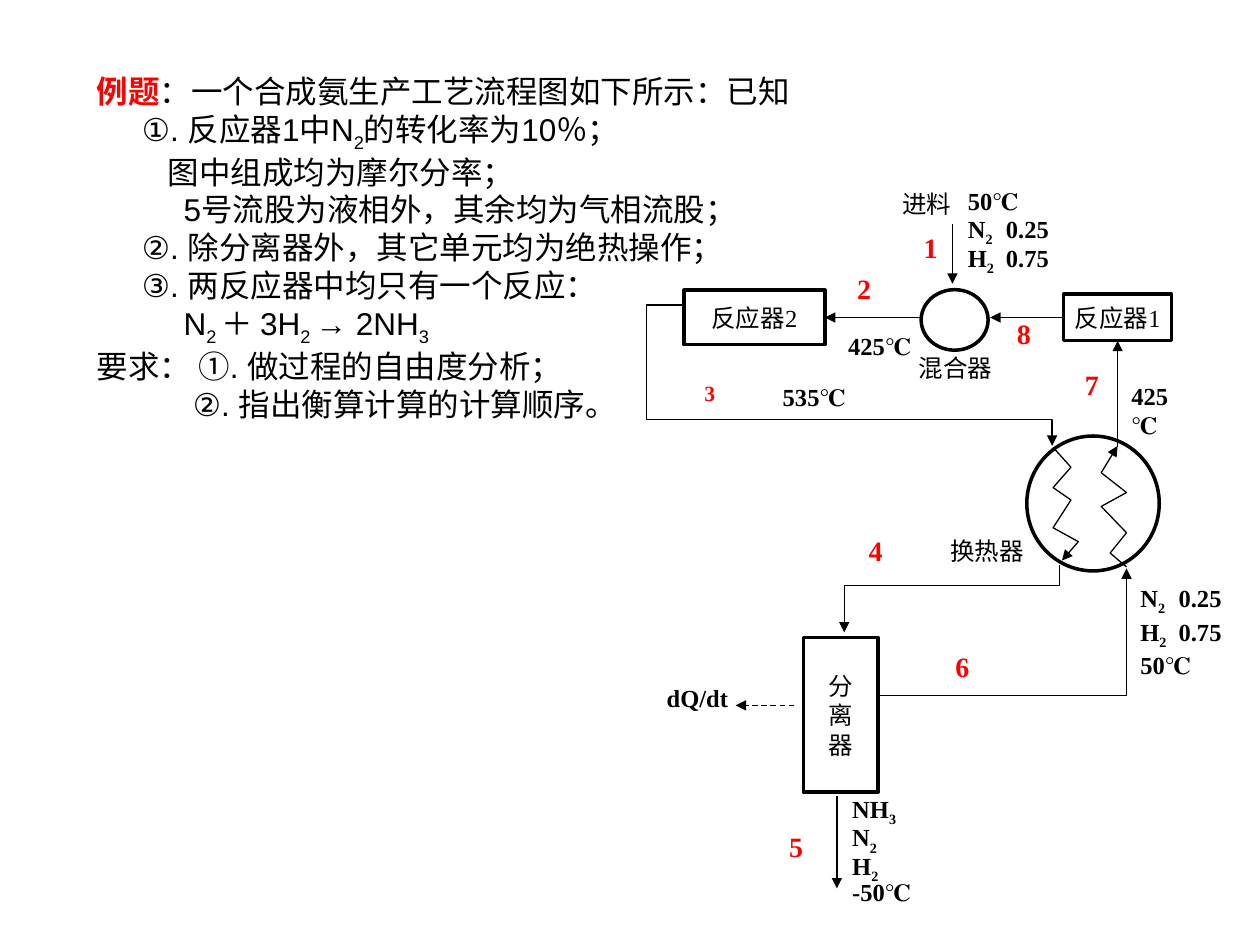
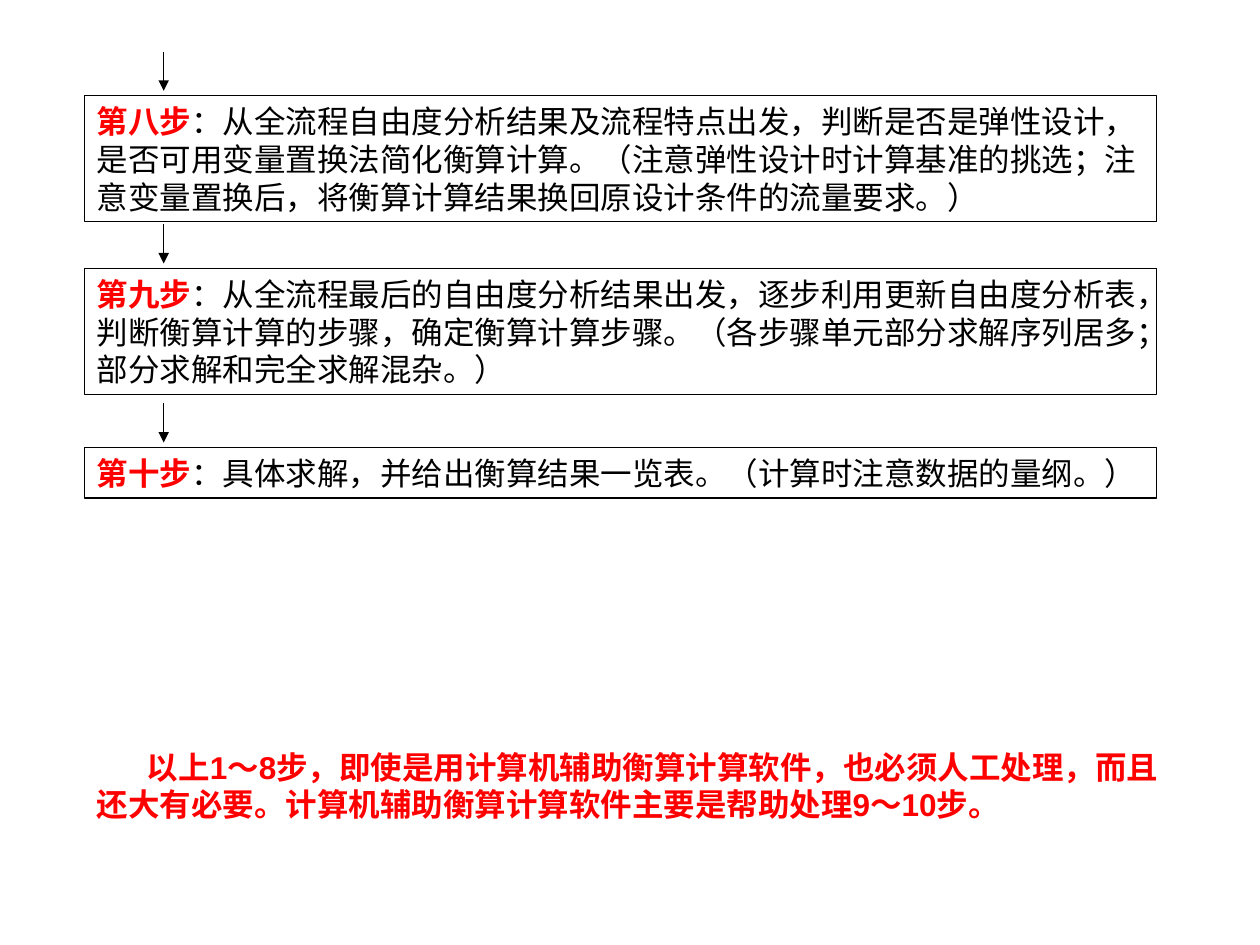
import pptx
import pptx.dml.color
import pptx.enum.dml
import pptx.enum.shapes
import pptx.enum.text
import pptx.oxml.ns
import pptx.util
from lxml import etree

Cm = pptx.util.Cm
SHAPES = pptx.enum.shapes.MSO_SHAPE
BLACK = pptx.dml.color.RGBColor(0, 0, 0)
RED = pptx.dml.color.RGBColor(255, 0, 0)
BODY_FONT = "Arial"
DIAGRAM_FONT = "Times New Roman"
TOP, LEFT, BOTTOM, RIGHT = range(4)


def add_element(parent, tag, **attributes):
    return etree.SubElement(parent, pptx.oxml.ns.qn(tag), attributes)


def add_span(para, text, font, size, color=BLACK, bold=False):
    for index, piece in enumerate(text.split("_")):
        if not piece:
            continue
        span = para.add_run()
        span.text = piece
        span.font.name = font
        span.font.size = pptx.util.Pt(size)
        span.font.bold = bold
        span.font.color.rgb = color
        if index % 2:
            span.font._element.set("baseline", "-25000")


def add_lead(para, lead, rest):
    add_span(para, lead, BODY_FONT, 18, RED, True)
    add_span(para, rest, BODY_FONT, 18)


def set_insets(frame, side, end):
    frame.margin_left = frame.margin_right = Cm(side)
    frame.margin_top = frame.margin_bottom = Cm(end)


def next_para(frame, index):
    return frame.add_paragraph() if index else frame.paragraphs[0]


def add_text_box(page, left, top, width, height, side=0.25, end=0.13):
    box = page.shapes.add_textbox(Cm(left), Cm(top), Cm(width), Cm(height))
    box.text_frame.word_wrap = True
    set_insets(box.text_frame, side, end)
    return box.text_frame


def add_label(page, lines, left, top, width, height,
              size=14, color=BLACK, bold=True, spacing=1.0):
    frame = add_text_box(page, left, top, width, height, 0.03, 0.03)
    for index, line in enumerate(lines.split("\n")):
        para = next_para(frame, index)
        para.line_spacing = spacing
        if "\t" in line:
            tabs = add_element(para._p.get_or_add_pPr(), "a:tabLst")
            add_element(tabs, "a:tab", pos=str(Cm(0.77)), algn="l")
        add_span(para, line, DIAGRAM_FONT, size, color, bold)


def set_line(shape, width):
    shape.line.color.rgb = BLACK
    shape.line.width = pptx.util.Pt(width)


def add_outline(page, preset, left, top, width, height, line_width):
    shape = page.shapes.add_shape(preset, Cm(left), Cm(top), Cm(width), Cm(height))
    shape.shadow.inherit = False
    shape.fill.background()
    set_line(shape, line_width)
    return shape


def add_unit(page, preset, left, top, width, height, name=""):
    unit = add_outline(page, preset, left, top, width, height, 2)
    frame = unit.text_frame
    set_insets(frame, 0.03, 0.03)
    frame.word_wrap = False
    if name:
        for index, line in enumerate(name.split("\n")):
            para = next_para(frame, index)
            para.alignment = pptx.enum.text.PP_ALIGN.CENTER
            add_span(para, line, DIAGRAM_FONT, 14)
    return unit


def add_arrowhead(shape):
    add_element(shape.line._get_or_add_ln(), "a:tailEnd", type="triangle")


def add_arrow(page, start, end, dashed=False):
    arrow = page.shapes.add_connector(
        pptx.enum.shapes.MSO_CONNECTOR.STRAIGHT,
        *(Cm(value) for value in start + end))
    set_line(arrow, 0.75)
    if dashed:
        arrow.line.dash_style = pptx.enum.dml.MSO_LINE.DASH
    add_arrowhead(arrow)
    add_element(arrow._element.spPr, "a:effectLst")
    return arrow


def add_path(page, *points):
    corners = [(Cm(x), Cm(y)) for x, y in points]
    builder = page.shapes.build_freeform(*corners[0])
    builder.add_line_segments(corners[1:], close=False)
    path = builder.convert_to_shape()
    path.shadow.inherit = False
    path.fill.background()
    set_line(path, 0.75)
    add_arrowhead(path)


def add_problem(page):
    lines = [
        (0, "：一个合成氨生产工艺流程图如下所示：已知"),
        (0.91, "①. 反应器1中N_2_的转化率为10％；"),
        (1.43, "图中组成均为摩尔分率；"),
        (1.75, "5号流股为液相外，其余均为气相流股；"),
        (0.91, "②. 除分离器外，其它单元均为绝热操作；"),
        (0.91, "③. 两反应器中均只有一个反应："),
        (1.75, "N_2 _＋ 3H_2 _→ 2NH_3_"),
        (0, "要求： ①. 做过程的自由度分析；"),
        (1.94, "②. 指出衡算计算的计算顺序。"),
    ]
    title = page.shapes.title
    title._element.getparent().remove(title._element)
    body = page.placeholders[1]
    body.left, body.top, body.width, body.height = Cm(1.7), Cm(1.32), Cm(21.21), Cm(7.32)
    frame = body.text_frame
    frame.auto_size = pptx.enum.text.MSO_AUTO_SIZE.NONE
    set_insets(frame, 0.25, 0.13)
    for index, (indent, line) in enumerate(lines):
        para = next_para(frame, index)
        para.space_before = pptx.util.Pt(0)
        properties = para._p.get_or_add_pPr()
        properties.set("marL", str(Cm(indent)))
        properties.set("indent", "0")
        add_element(properties, "a:buNone")
        if index:
            add_span(para, line, BODY_FONT, 18)
        else:
            add_lead(para, "例题", line)


def add_flowsheet(page):
    axis = 6.4
    reactor_2 = add_unit(page, SHAPES.RECTANGLE, 13.79, axis - 0.55, 2.84, 1.1, "反应器2")
    add_unit(page, SHAPES.OVAL, 18.57, 5.84, 1.35, 1.22)
    reactor_1 = add_unit(page, SHAPES.RECTANGLE, 21.44, axis - 0.47, 2.18, 0.94, "反应器1")
    add_unit(page, SHAPES.OVAL, 20.7, 8.79, 2.67, 2.72)
    add_unit(page, SHAPES.RECTANGLE, 16.2, 12.85, 1.5, 3.12, "分\n离\n器")

    add_arrow(page, (18.54, axis), (16.63, axis)).end_connect(reactor_2, RIGHT)
    add_arrow(page, (21.44, axis), (19.96, axis)).begin_connect(reactor_1, LEFT)
    add_arrow(page, (22.53, 9.02), (22.53, 6.87)).end_connect(reactor_1, BOTTOM)
    add_arrow(page, (19.2, 4.52), (19.2, 5.72))
    add_arrow(page, (16.87, 16.05), (16.87, 17.91))
    add_arrow(page, (16, 14.22), (14.83, 14.22), dashed=True)

    add_path(page, (21.23, 9.02), (21.59, 9.42), (21.23, 9.83), (21.59, 10.08),
             (21.23, 10.64), (21.74, 10.92), (21.41, 11.3))
    add_path(page, (22.71, 11.43), (22.38, 11.15), (22.71, 10.74), (22.2, 10.21),
             (22.71, 9.93), (22.2, 9.53), (22.53, 8.99))
    add_path(page, (13.79, 6.15), (13.03, 6.15), (13.03, 8.46), (21.21, 8.46), (21.21, 8.99))
    add_path(page, (17.7, 14.02), (22.71, 14.02), (22.71, 11.46))
    add_path(page, (21.36, 11.4), (21.36, 11.81), (17.02, 11.81), (17.02, 12.75))


def add_flowsheet_labels(page):
    for name, left, top, width in [
        ("进料", 18.16, 3.78, 1.17),
        ("混合器", 18.49, 7.09, 2.01),
        ("换热器", 19.13, 10.77, 1.88),
    ]:
        add_label(page, name, left, top, width, 0.9, bold=False)

    for number, left, top in [
        ("1", 18.59, 4.62), ("2", 17.25, 5.44), ("4", 17.48, 10.72), ("5", 15.88, 16.69),
        ("6", 19.23, 13.06), ("7", 21.84, 7.37), ("8", 20.47, 6.35),
    ]:
        add_label(page, number, left, top, 0.7, 1, size=16, color=RED)
    add_label(page, "3", 14.17, 7.72, 0.58, 0.58, size=12.4, color=RED, spacing=0.8)

    for text, left, top, width in [
        ("425℃", 17.07, 6.65, 1.5),
        ("425℃", 22.78, 7.65, 1.24),
        ("535℃", 15.75, 7.67, 1.5),
        ("dQ/dt", 13.41, 13.74, 1.63),
    ]:
        add_label(page, text, left, top, width, 0.8)

    add_label(page, "50℃\nN_2_\t0.25\nH_2_\t0.75", 19.48, 3.81, 1.83, 1.78, spacing=0.86)
    add_label(page, "N_2_\t0.25\nH_2_\t0.75\n50℃", 22.96, 11.73, 2.08, 2.16)
    add_label(page, "NH_3_\nN_2_\nH_2_\n-50℃", 17.15, 16, 1.47, 2.41, spacing=0.86)


def add_step(page, top, height, lead, rest):
    step = add_outline(page, SHAPES.RECTANGLE, 1.7, top, 21.62, height, 0.75)
    frame = step.text_frame
    frame.word_wrap = True
    set_insets(frame, 0.25, 0.13)
    frame.vertical_anchor = pptx.enum.text.MSO_ANCHOR.TOP
    para = frame.paragraphs[0]
    para.alignment = pptx.enum.text.PP_ALIGN.LEFT
    add_lead(para, lead, rest)


def add_steps(page):
    steps = [
        (1.93, 2.54, "第八步", "：从全流程自由度分析结果及流程特点出发，判断是否是弹性设计，"
         "是否可用变量置换法简化衡算计算。（注意弹性设计时计算基准的挑选；"
         "注意变量置换后，将衡算计算结果换回原设计条件的流量要求。）"),
        (5.41, 2.54, "第九步", "：从全流程最后的自由度分析结果出发，逐步利用更新自由度分析表，"
         "判断衡算计算的步骤，确定衡算计算步骤。（各步骤单元部分求解序列居多；"
         "部分求解和完全求解混杂。）"),
        (9.02, 1.02, "第十步", "：具体求解，并给出衡算结果一览表。（计算时注意数据的量纲。）"),
    ]
    for top, height, lead, rest in steps:
        add_step(page, top, height, lead, rest)
        add_arrow(page, (3.3, top - 0.89), (3.3, top - 0.1))


def add_closing_note(page):
    para = add_text_box(page, 1.7, 14.94, 22.4, 1.78).paragraphs[0]
    para._p.get_or_add_pPr().set("indent", str(Cm(1.01)))
    add_span(para, "以上1～8步，即使是用计算机辅助衡算计算软件，也必须人工处理，"
             "而且还大有必要。计算机辅助衡算计算软件主要是帮助处理9～10步。",
             BODY_FONT, 18, RED, True)


def main():
    deck = pptx.Presentation()
    deck.slide_width, deck.slide_height = Cm(25.4), Cm(19.05)

    problem_page = deck.slides.add_slide(deck.slide_layouts[1])
    add_problem(problem_page)
    add_flowsheet(problem_page)
    add_flowsheet_labels(problem_page)

    steps_page = deck.slides.add_slide(deck.slide_layouts[6])
    add_steps(steps_page)
    add_closing_note(steps_page)

    deck.save("out.pptx")


if __name__ == "__main__":
    main()
